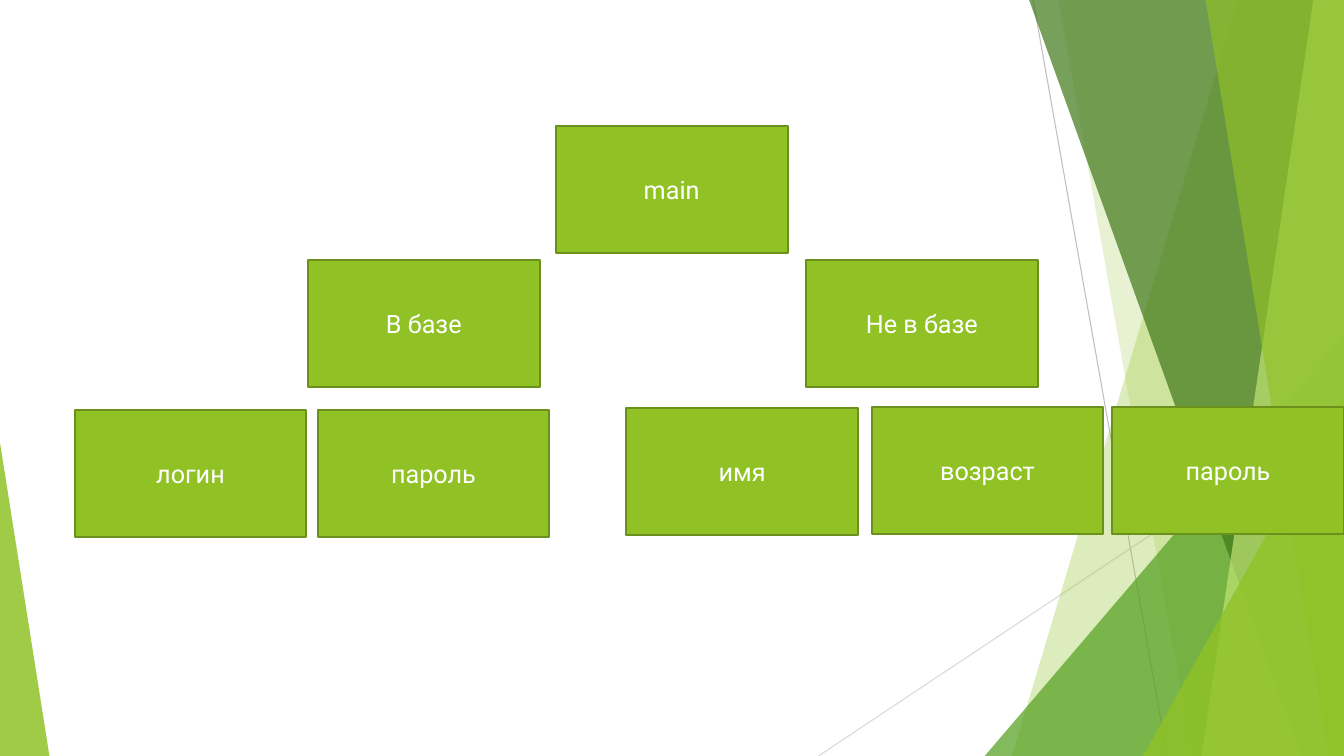
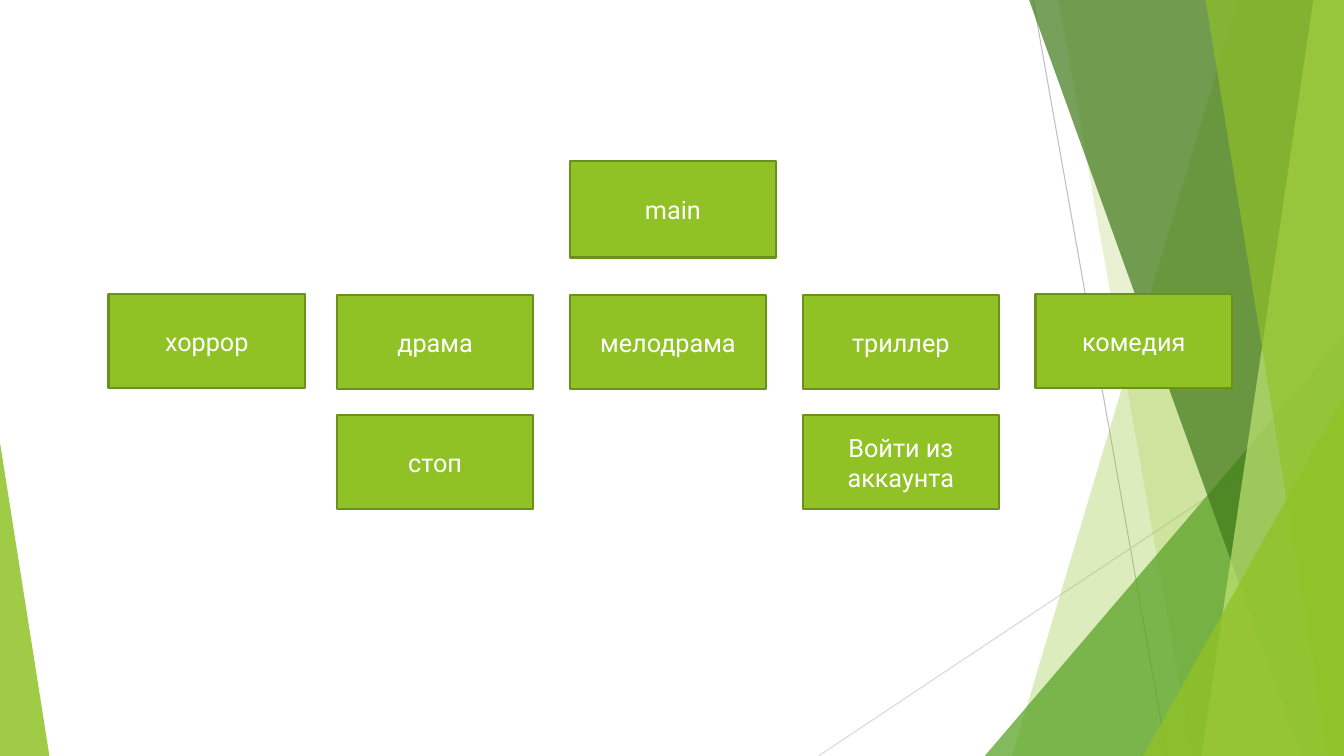
"""Two slides of box trees over one shared backdrop of green bands."""
from dataclasses import dataclass

from lxml import etree
from pptx import Presentation
from pptx.dml.color import RGBColor
from pptx.dml.fill import FillFormat
from pptx.enum.shapes import MSO_CONNECTOR, MSO_SHAPE
from pptx.enum.text import MSO_ANCHOR, PP_ALIGN
from pptx.oxml.ns import qn
from pptx.shapes.autoshape import Shape
from pptx.slide import Slide, SlideLayout
from pptx.util import Inches, Pt

RECT = MSO_SHAPE.RECTANGLE
WEDGE = MSO_SHAPE.ISOSCELES_TRIANGLE
LINE = MSO_CONNECTOR.STRAIGHT
CENTER = PP_ALIGN.CENTER
MIDDLE = MSO_ANCHOR.MIDDLE

WIDE, HIGH = Inches(13.33), Inches(7.5)
LIME, EDGE, WHITE = "90C226", "6B901C", "FFFFFF"
FONT = {"name": "Roboto", "size": Pt(18)}


@dataclass(frozen=True)
class Ray:
    start: tuple[float, float]
    end: tuple[float, float]
    color: str


@dataclass(frozen=True)
class Band:
    top: float
    base: float
    color: str
    alpha: int


@dataclass(frozen=True)
class Peak:
    left: float
    top: float
    right: float
    tip: int
    color: str
    alpha: int


@dataclass(frozen=True)
class Tile:
    text: str
    col: float
    row: float
    grow: tuple[float, float] = (1, 1)


@dataclass(frozen=True)
class Tree:
    left: float
    top: float
    step: tuple[float, float]
    size: tuple[float, float]
    tiles: tuple[Tile, ...]


RAYS = (
    Ray((76.87, 0), (86.85, 100), "BFBFBF"),
    Ray((100, 53.73), (60.9, 100), "D9D9D9"),
)
PANES = (
    Band(92.1, 75.3, LIME, 30),
    Band(78.75, 88.72, LIME, 20),
    Peak(73.27, 44.4, 100, 1, "54A021", 72),
    Band(76.57, 96.82, "3F7819", 70),
    Band(97.72, 89.4, "C0E474", 70),
    Band(89.7, 98.85, LIME, 65),
    Peak(85.05, 52.4, 100, 1, LIME, 80),
    Peak(0, 58.53, 3.68, 0, LIME, 85),
)
TREES = (
    Tree(0.74, 1.25, (2.41, 1.4), (2.3, 1.26), (
        Tile("main", 1.98, 0),
        Tile("В базе", 0.96, 0.95),
        Tile("Не в базе", 3.01, 0.95),
        Tile("логин", 0, 2.01),
        Tile("пароль", 1, 2.01),
        Tile("имя", 2.27, 2),
        Tile("возраст", 3.28, 1.99),
        Tile("пароль", 4.27, 1.99),
    )),
    Tree(1.03, 1.74, (2.31, 1.19), (1.95, 0.93), (
        Tile("main", 2, -0.12, (1.05, 1.03)),
        Tile("хоррор", 0.02, 0.99),
        Tile("драма", 1, 1),
        Tile("мелодрама", 2, 1),
        Tile("триллер", 3, 1),
        Tile("комедия", 4, 0.99),
        Tile("стоп", 1, 2),
        Tile("Войти из аккаунта", 3, 2),
    )),
)


def spot(x: float, y: float) -> tuple[int, int]:
    """Turn percentages of the slide into a point."""
    return round(WIDE * x / 100), round(HIGH * y / 100)


def paint(fill: FillFormat, color: str) -> None:
    """Give a fill one solid colour."""
    fill.solid()
    fill.fore_color.rgb = RGBColor.from_string(color)


def glaze(shape: Shape, color: str, alpha: int) -> None:
    """Paint a see-through shape without an outline."""
    shape.shadow.inherit = False
    paint(shape.fill, color)
    tint = shape.element.spPr.find(f"{qn('a:solidFill')}/{qn('a:srgbClr')}")
    etree.SubElement(tint, qn("a:alpha"), val=str(alpha * 1000))
    shape.line.fill.background()


def draw_ray(slide: Slide, ray: Ray) -> None:
    """Draw a thin line."""
    line = slide.shapes.add_connector(LINE, *spot(*ray.start), *spot(*ray.end))
    paint(line.line.fill, ray.color)
    line.line.width = Pt(0.75)
    etree.SubElement(line.element.spPr, qn("a:effectLst"))


def draw_band(slide: Slide, band: Band) -> None:
    """Draw a full-height band that ends at the right edge."""
    pen = slide.shapes.build_freeform(*spot(band.top, 0))
    rest = [spot(100, 0), spot(100, 100), spot(band.base, 100)]
    pen.add_line_segments(rest, close=True)
    glaze(pen.convert_to_shape(), band.color, band.alpha)


def draw_peak(slide: Slide, peak: Peak) -> None:
    """Draw a triangle that stands on the bottom edge."""
    size = spot(peak.right - peak.left, 100 - peak.top)
    shape = slide.shapes.add_shape(WEDGE, *spot(peak.left, peak.top), *size)
    shape.adjustments[0] = peak.tip
    glaze(shape, peak.color, peak.alpha)


def draw_tile(slide: Slide, tree: Tree, tile: Tile) -> None:
    """Draw one labelled box at its place in the tree's grid."""
    x = tree.left + tile.col * tree.step[0]
    y = tree.top + tile.row * tree.step[1]
    size = [side * grow for side, grow in zip(tree.size, tile.grow)]
    shape = slide.shapes.add_shape(RECT, *map(Inches, (x, y, *size)))
    shape.shadow.inherit = False
    paint(shape.fill, LIME)
    paint(shape.line.fill, EDGE)
    shape.line.width = Pt(1.5)
    frame = shape.text_frame
    frame.text = tile.text
    frame.word_wrap = True
    frame.vertical_anchor = MIDDLE
    para = frame.paragraphs[0]
    para.alignment = CENTER
    font = para.runs[0].font
    for key, value in FONT.items():
        setattr(font, key, value)
    paint(font.fill, WHITE)


def set_stage(slide: Slide, layout: SlideLayout) -> None:
    """Draw the backdrop once and move it to the shared layout."""
    for holder in list(layout.placeholders):
        layout.shapes.element.remove(holder.element)
    for ray in RAYS:
        draw_ray(slide, ray)
    for pane in PANES:
        if isinstance(pane, Band):
            draw_band(slide, pane)
        else:
            draw_peak(slide, pane)
    for shape in list(slide.shapes):
        layout.shapes.element.append(shape.element)


def main() -> None:
    """Build the deck and save it."""
    deck = Presentation()
    deck.slide_width, deck.slide_height = WIDE, HIGH
    blank = deck.slide_layouts[6]
    paint(blank.background.fill, WHITE)
    slides = [deck.slides.add_slide(blank) for _ in TREES]
    set_stage(slides[0], blank)
    for slide, tree in zip(slides, TREES):
        for tile in tree.tiles:
            draw_tile(slide, tree, tile)
    deck.save("out.pptx")


if __name__ == "__main__":
    main()
